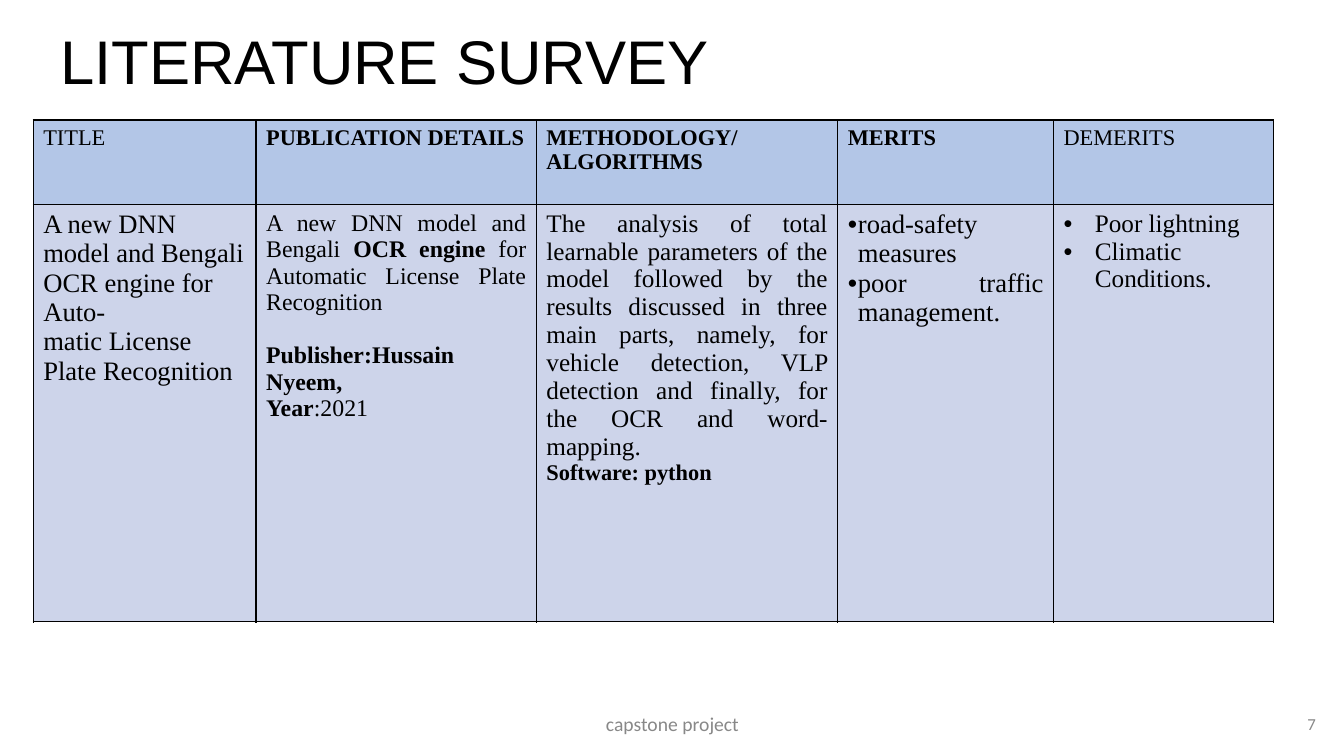
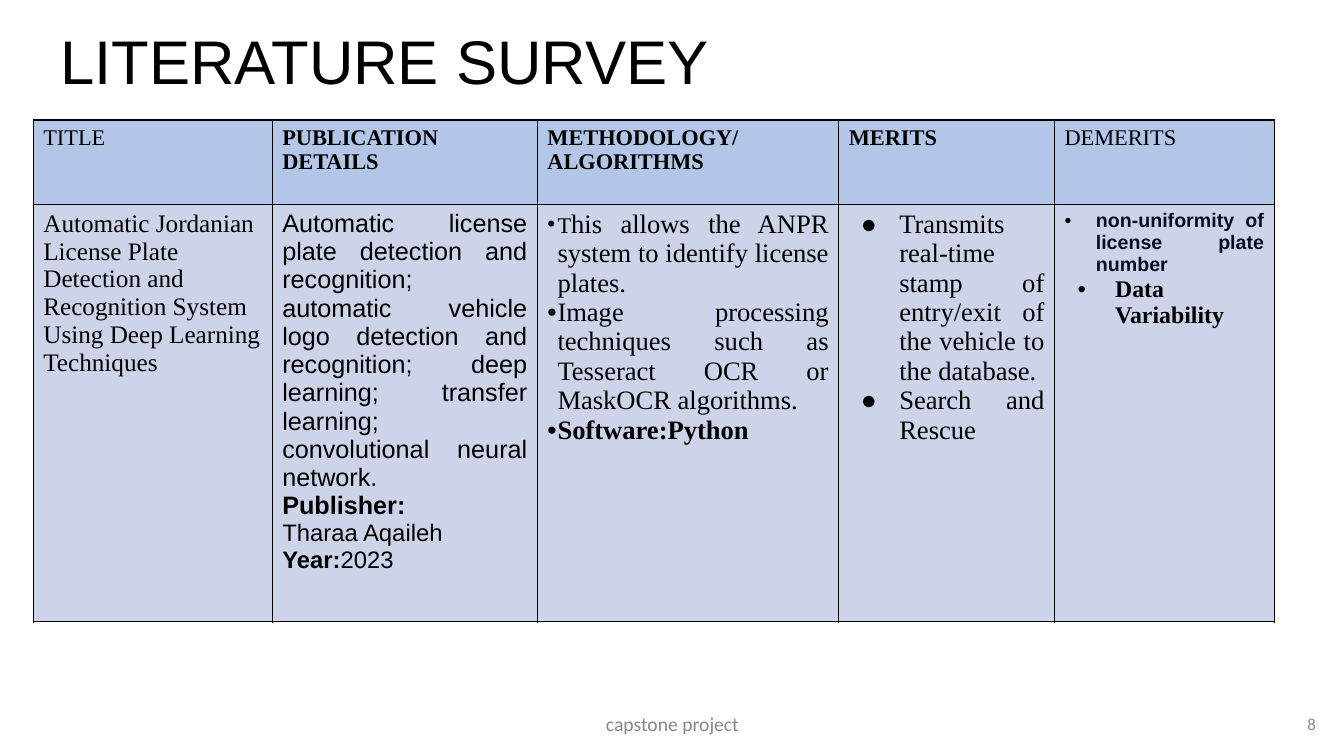
from dataclasses import dataclass

from lxml.etree import SubElement
from pptx import Presentation
from pptx.dml.color import RGBColor
from pptx.enum.text import MSO_ANCHOR, PP_ALIGN
from pptx.oxml.ns import qn
from pptx.util import Inches, Pt

COLORS = {
    "ink": "000000",
    "navy": "040C28",
    "footer": "888888",
    "header": "B3C6E7",
    "body": "CDD4EA",
}
SERIF, SANS, FOOTER_FONT = "Times New Roman", "Arial", "Calibri"
LEFT, JUSTIFY = PP_ALIGN.LEFT, PP_ALIGN.JUSTIFY


@dataclass
class Line:
    """One paragraph; text between asterisks is bold."""
    text: str
    size: int
    font: str = SERIF
    bold: bool = False
    color: str = "ink"
    align: PP_ALIGN = JUSTIFY
    bullet: str = ""
    indent: float = 0.1
    hanging: float = 0.13
    space_before: int = 0
    initial_size: int = 0


HEADERS = [
    [Line("TITLE", 16, align=LEFT)],
    [Line("PUBLICATION DETAILS", 16, bold=True, align=LEFT)],
    [Line("METHODOLOGY/", 16, bold=True, align=LEFT),
     Line("ALGORITHMS", 16, bold=True, align=LEFT)],
    [Line("MERITS", 16, bold=True, align=LEFT)],
    [Line("DEMERITS", 16, align=LEFT)],
]


class Deck:
    def __init__(self):
        self.presentation = Presentation()
        self.presentation.slide_width = Inches(13.33)
        self.presentation.slide_height = Inches(7.5)
        self.slide = None

    def add_slide(self, title, number):
        layout = self.presentation.slide_layouts[6]
        self.slide = self.presentation.slides.add_slide(layout)
        heading = self.text(0.33, 0.18, 11.92, 0.92, Line(title, 44, SANS, align=LEFT))
        heading.margin_left = Inches(0.27)
        heading.paragraphs[0].line_spacing = 0.9
        self.text(2.97, 6.98, 7.4, 0.4, Line(
            "capstone project", 14, FOOTER_FONT, color="footer", align=PP_ALIGN.CENTER))
        self.text(12.54, 6.98, 0.61, 0.4, Line(
            str(number), 12, FOOTER_FONT, color="footer", align=PP_ALIGN.RIGHT))

    def text(self, left, top, width, height, line):
        box = self.slide.shapes.add_textbox(
            Inches(left), Inches(top), Inches(width), Inches(height))
        frame = box.text_frame
        frame.word_wrap = True
        frame.vertical_anchor = MSO_ANCHOR.MIDDLE
        self.fill_frame(frame, [line])
        return frame

    def fill_frame(self, frame, lines):
        for index, line in enumerate(lines):
            paragraph = frame.paragraphs[0] if index == 0 else frame.add_paragraph()
            paragraph.alignment = line.align
            if line.space_before:
                paragraph.space_before = Pt(line.space_before)
            if line.bullet:
                self.add_bullet(paragraph, line)
            font = paragraph.font
            font.name, font.size, font.bold = line.font, Pt(line.size), line.bold
            font.color.rgb = RGBColor.from_string(COLORS[line.color])
            text = line.text
            if line.initial_size:
                initial = paragraph.add_run()
                initial.text, text = text[0], text[1:]
                initial.font.size = Pt(line.initial_size)
            for position, part in enumerate(text.split("*")):
                if part:
                    run = paragraph.add_run()
                    run.text = part
                    if position % 2:
                        run.font.bold = True

    def add_bullet(self, paragraph, line):
        properties = paragraph._p.get_or_add_pPr()
        properties.set("marL", str(Inches(line.indent)))
        properties.set("indent", str(-Inches(line.hanging)))
        color = SubElement(properties, qn("a:buClr"))
        SubElement(color, qn("a:srgbClr"), val=COLORS["ink"])
        SubElement(properties, qn("a:buFont"), typeface=SANS)
        SubElement(properties, qn("a:buChar"), char=line.bullet)

    def survey_table(self, column_widths, entry):
        row_heights = [0.84, 4.14]
        table = self.slide.shapes.add_table(
            2, len(column_widths), Inches(0.33), Inches(1.19),
            Inches(sum(column_widths)), Inches(sum(row_heights))).table
        table.first_row = table.horz_banding = False
        for column, width in zip(table.columns, column_widths):
            column.width = Inches(width)
        contents = zip(table.rows, row_heights, [HEADERS, entry], ["header", "body"])
        for row, height, cells, fill in contents:
            row.height = Inches(height)
            for cell, lines in zip(row.cells, cells):
                self.fill_frame(cell.text_frame, lines)
                self.add_borders(cell)
                cell.fill.solid()
                cell.fill.fore_color.rgb = RGBColor.from_string(COLORS[fill])

    def add_borders(self, cell):
        properties = cell._tc.get_or_add_tcPr()
        for side in ("lnL", "lnR", "lnT", "lnB"):
            border = SubElement(properties, qn(f"a:{side}"), w=str(Pt(1)))
            fill = SubElement(border, qn("a:solidFill"))
            SubElement(fill, qn("a:srgbClr"), val=COLORS["ink"])


def main():
    bengali_paper = [
        [Line("A new DNN model and Bengali OCR engine for Auto-", 19, align=LEFT),
         Line("matic License Plate Recognition", 19, align=LEFT)],
        [Line("A new DNN model and Bengali* OCR engine* for Automatic License "
              "Plate Recognition", 17),
         Line("Publisher:Hussain Nyeem,", 17, bold=True, space_before=19),
         Line("*Year*:2021", 17)],
        [Line("The analysis of total learnable parameters of the model followed by "
              "the results discussed in three main parts, namely, for vehicle "
              "detection, VLP detection and finally, for the OCR and word-mapping.", 18),
         Line("Software: python", 16, bold=True)],
        [Line("road-safety measures", 19, bullet="•"),
         Line("poor traffic management.", 19, bullet="•")],
        [Line(text, 18, bullet="•", indent=0.31, hanging=0.31)
         for text in ("Poor lightning", "Climatic Conditions.")],
    ]
    jordanian_paper = [
        [Line("Automatic Jordanian License Plate Detection and Recognition System "
              "Using Deep Learning Techniques", 18, align=LEFT)],
        [Line("Automatic license plate detection and recognition; automatic vehicle "
              "logo detection and recognition; deep learning; transfer learning; "
              "convolutional neural network.", 18, SANS),
         Line("Publisher:", 18, SANS, bold=True),
         Line("Tharaa Aqaileh", 17, SANS),
         Line("*Year:*2023", 17, SANS)],
        [Line("This allows the ANPR system to identify license plates.", 19,
              bullet="•", hanging=0.11, initial_size=16),
         Line("Image processing techniques such as Tesseract OCR or MaskOCR "
              "algorithms.", 19, bullet="•"),
         Line("Software:Python", 19, bold=True, bullet="•")],
        [Line(text, 19, bullet="●", indent=0.5, hanging=0.38)
         for text in ("Transmits real-time stamp of entry/exit of the vehicle to "
                      "the database.", "Search and Rescue")],
        [Line("non-uniformity of license plate number", 14, SANS, bold=True,
              color="navy", bullet="•", indent=0.31, hanging=0.31),
         Line("Data Variability", 17, bold=True, bullet="•", indent=0.5, hanging=0.37)],
    ]
    surveys = [
        (7, [2.21, 2.78], bengali_paper),
        (8, [2.37, 2.63], jordanian_paper),
    ]
    deck = Deck()
    for number, first_widths, entry in surveys:
        deck.add_slide("LITERATURE SURVEY", number)
        deck.survey_table(first_widths + [2.99, 2.14, 2.18], entry)
    deck.presentation.save("out.pptx")


if __name__ == "__main__":
    main()
